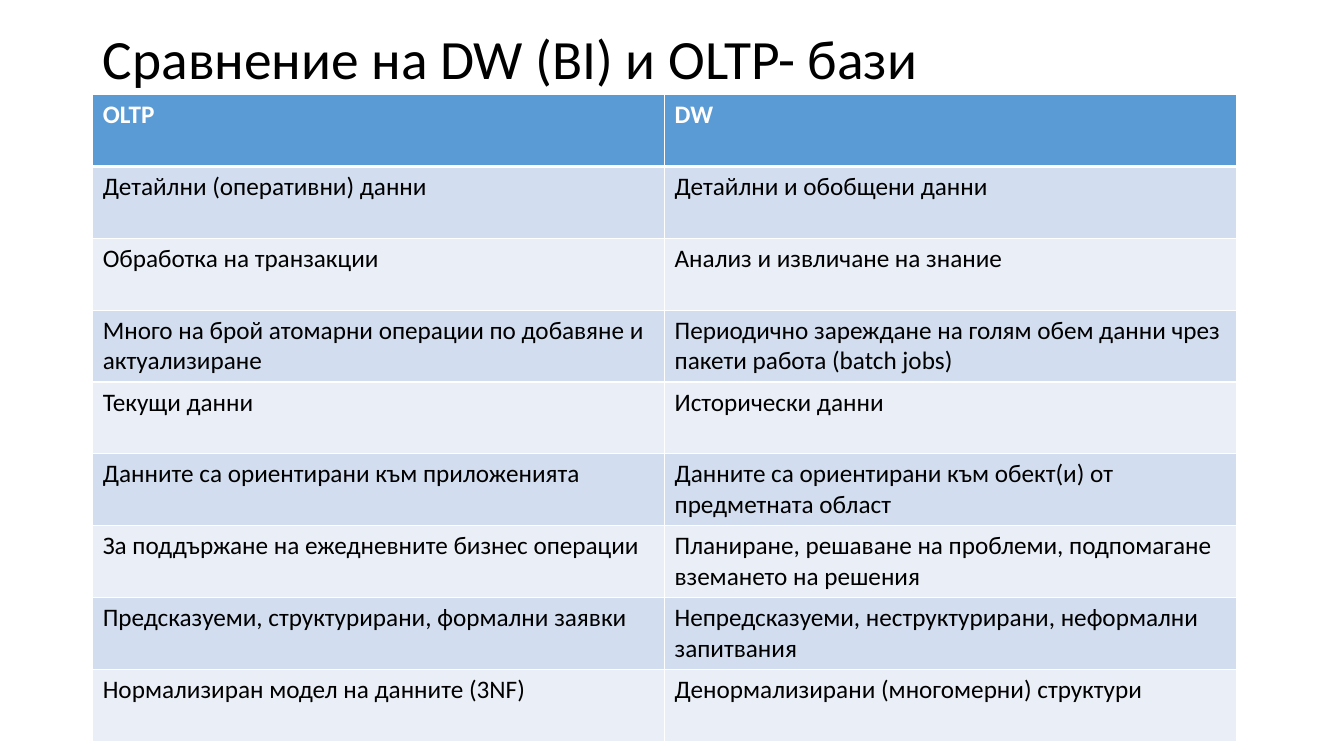
import dataclasses
import typing

import lxml.etree
import pptx
import pptx.dml.color
import pptx.enum.text
import pptx.oxml.ns
import pptx.util

SLIDE_WIDTH = pptx.util.Inches(13.33)
SLIDE_HEIGHT = pptx.util.Inches(7.5)
FONT = "Calibri"
BORDER = "FFFFFF"
THIN, THICK = 1, 3  # border widths in points


@dataclasses.dataclass(frozen=True)
class Area:
    """A rectangle in percent of the slide's width and height."""
    left: float
    top: float
    width: float
    height: float

    def box(self) -> tuple[int, int, int, int]:
        return (
            round(SLIDE_WIDTH * self.left / 100),
            round(SLIDE_HEIGHT * self.top / 100),
            round(SLIDE_WIDTH * self.width / 100),
            round(SLIDE_HEIGHT * self.height / 100),
        )


@dataclasses.dataclass(frozen=True)
class Comparison:
    oltp: str
    dw: str


@dataclasses.dataclass(frozen=True)
class RowStyle:
    fill: str
    text: str
    bold: bool = False


TITLE = "Сравнение на DW (BI) и OLTP- бази"
TITLE_AREA = Area(6.9, 3.7, 86.3, 8.8)
TABLE_AREA = Area(6.9, 12.5, 85.1, 85.6)

HEADER = RowStyle("5B9BD5", "FFFFFF", True)
BANDS = (RowStyle("EAEFF7", "000000"), RowStyle("D2DEEF", "000000"))

COMPARISONS = (
    Comparison("OLTP", "DW"),
    Comparison("Детайлни (оперативни) данни", "Детайлни и обобщени данни"),
    Comparison("Обработка на транзакции", "Анализ и извличане на знание"),
    Comparison("Много на брой атомарни операции по добавяне и актуализиране",
               "Периодично зареждане на голям обем данни чрез пакети работа (batch jobs)"),
    Comparison("Текущи данни", "Исторически данни"),
    Comparison("Данните са ориентирани към приложенията",
               "Данните са ориентирани към обект(и) от предметната област"),
    Comparison("За поддържане на ежедневните бизнес операции",
               "Планиране, решаване на проблеми, подпомагане вземането на решения"),
    Comparison("Предсказуеми, структурирани, формални заявки",
               "Непредсказуеми, неструктурирани, неформални запитвания"),
    Comparison("Нормализиран модел на данните (3NF)",
               "Денормализирани (многомерни) структури"),
)


def color(value: str) -> pptx.dml.color.RGBColor:
    return pptx.dml.color.RGBColor.from_string(value)


def apply(target: typing.Any, formats: dict[str, typing.Any]) -> None:
    for name, value in formats.items():
        setattr(target, name, value)


def format_font(font: typing.Any, size: float, text_color: str, bold: bool) -> None:
    apply(font, {"name": FONT, "size": pptx.util.Pt(size), "bold": bold})
    font.color.rgb = color(text_color)


def add_borders(cell: typing.Any, widths: dict[str, int]) -> None:
    properties = cell._tc.get_or_add_tcPr()
    for position, (side, width) in enumerate(widths.items()):
        line = lxml.etree.Element(pptx.oxml.ns.qn(f"a:ln{side}"), w=str(pptx.util.Pt(width)))
        fill = lxml.etree.SubElement(line, pptx.oxml.ns.qn("a:solidFill"))
        lxml.etree.SubElement(fill, pptx.oxml.ns.qn("a:srgbClr"), val=BORDER)
        properties.insert(position, line)


def add_title(slide: typing.Any) -> None:
    title = slide.shapes.title
    apply(title, dict(zip(("left", "top", "width", "height"), TITLE_AREA.box())))
    apply(title.text_frame, {
        "text": TITLE,
        "word_wrap": True,
        "auto_size": pptx.enum.text.MSO_AUTO_SIZE.NONE,
        "vertical_anchor": pptx.enum.text.MSO_ANCHOR.MIDDLE,
    })
    heading = title.text_frame.paragraphs[0]
    apply(heading, {"alignment": pptx.enum.text.PP_ALIGN.LEFT, "line_spacing": 0.9})
    format_font(heading.runs[0].font, 39.6, "000000", False)


def add_comparison_table(slide: typing.Any) -> None:
    columns = len(dataclasses.fields(Comparison))
    table = slide.shapes.add_table(len(COMPARISONS), columns, *TABLE_AREA.box()).table
    for row, comparison in enumerate(COMPARISONS):
        style = BANDS[row % 2] if row else HEADER
        borders = {
            "L": THIN,
            "R": THIN,
            "T": THICK if row == 1 else THIN,
            "B": THICK if row == 0 else THIN,
        }
        for column, wording in enumerate(dataclasses.astuple(comparison)):
            cell = table.cell(row, column)
            cell.text = wording
            cell.fill.solid()
            cell.fill.fore_color.rgb = color(style.fill)
            format_font(cell.text_frame.paragraphs[0].runs[0].font, 18, style.text, style.bold)
            add_borders(cell, borders)


def main() -> None:
    presentation = pptx.Presentation()
    apply(presentation, {"slide_width": SLIDE_WIDTH, "slide_height": SLIDE_HEIGHT})
    # Title-only layout
    slide = presentation.slides.add_slide(presentation.slide_layouts[5])
    add_title(slide)
    add_comparison_table(slide)
    presentation.save("out.pptx")


if __name__ == "__main__":
    main()
